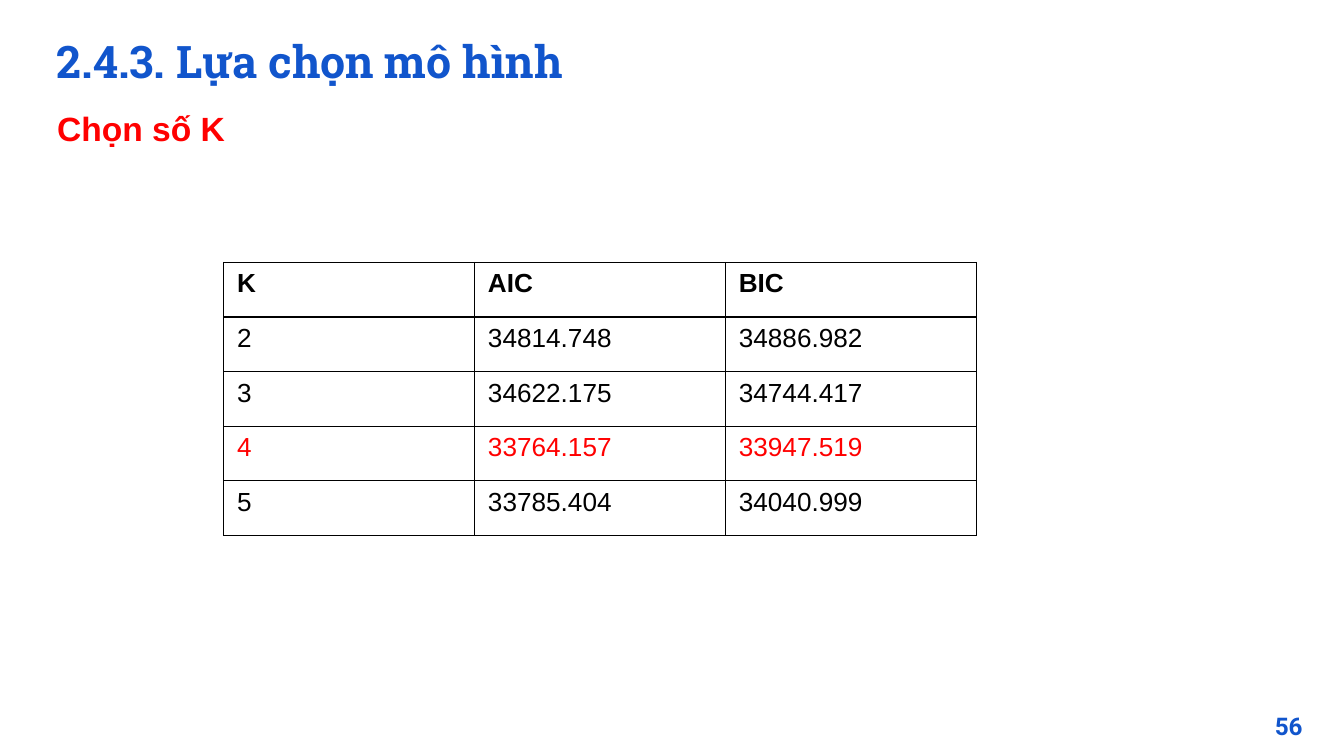
from dataclasses import dataclass
from typing import Optional

import pptx
import pptx.dml.color
import pptx.enum.shapes
import pptx.enum.text
import pptx.oxml
import pptx.oxml.ns
import pptx.util

RGBColor = pptx.dml.color.RGBColor
Align = pptx.enum.text.PP_ALIGN
Anchor = pptx.enum.text.MSO_ANCHOR

BLUE = RGBColor(0x11, 0x55, 0xCC)
RED = RGBColor(0xFF, 0x00, 0x00)
BLACK = RGBColor(0x00, 0x00, 0x00)
WHITE = RGBColor(0xFF, 0xFF, 0xFF)

SLIDE_WIDTH = pptx.util.Inches(10)
SLIDE_HEIGHT = SLIDE_WIDTH * 9 // 16
GRID_COLUMNS = 100
UNIT = SLIDE_WIDTH / GRID_COLUMNS
BORDER_WIDTH = pptx.util.Pt(0.75)
BORDER_SIDES = ("lnL", "lnR", "lnT", "lnB")


@dataclass(frozen=True)
class Area:
    column: float
    row: float
    columns: float
    rows: float

    def lengths(self) -> list[int]:
        return [round(n * UNIT) for n in (self.column, self.row, self.columns, self.rows)]


@dataclass(frozen=True)
class Label:
    area: Area
    text: str
    font: str
    size: int
    color: RGBColor
    align: Align = Align.LEFT
    anchor: Anchor = Anchor.TOP
    inset: float = 1
    fill: Optional[RGBColor] = None


@dataclass(frozen=True)
class Score:
    k: str
    aic: str
    bic: str
    color: RGBColor = BLACK
    bold: bool = False


LABELS = [
    Label(Area(91.9, 51.95, 6, 4.3), "56", "Roboto", 13, BLUE, Align.RIGHT),
    Label(Area(3.25, 1.65, 82.8, 5.7), "2.4.3. Lựa chọn mô hình", "Roboto Slab", 24, BLUE,
          anchor=Anchor.MIDDLE),
    Label(Area(3.27, 7.55, 94.4, 4), "Chọn số K", "Arial", 18, RED, Align.JUSTIFY,
          inset=0.5, fill=WHITE),
]

SCORES = [
    Score("K", "AIC", "BIC", bold=True),
    Score("2", "34814.748", "34886.982"),
    Score("3", "34622.175", "34744.417"),
    Score("4", "33764.157", "33947.519", RED),
    Score("5", "33785.404", "34040.999"),
]
SCORE_AREA = Area(16.64, 19.53, 56, 20.3)


def style_font(font, name: str, size: int, color: RGBColor, bold: bool) -> None:
    font.name = name
    font.size = pptx.util.Pt(size)
    font.color.rgb = color
    font.bold = bold


def draw_label(slide, label: Label) -> None:
    if label.fill is None:
        box = slide.shapes.add_textbox(*label.area.lengths())
    else:
        box = slide.shapes.add_shape(
            pptx.enum.shapes.MSO_SHAPE.RECTANGLE, *label.area.lengths())
        box.shadow.inherit = False
        box.fill.solid()
        box.fill.fore_color.rgb = label.fill
        box.line.fill.background()
    frame = box.text_frame
    frame.word_wrap = True
    frame.vertical_anchor = label.anchor
    frame.margin_left = frame.margin_right = round(UNIT)
    frame.margin_top = frame.margin_bottom = round(label.inset * UNIT)
    frame.text = label.text
    paragraph = frame.paragraphs[0]
    paragraph.alignment = label.align
    style_font(paragraph.runs[0].font, label.font, label.size, label.color, True)


def draw_borders(cell) -> None:
    properties = cell._tc.get_or_add_tcPr()
    for index, side in enumerate(BORDER_SIDES):
        border = pptx.oxml.parse_xml(
            f'<a:{side} {pptx.oxml.ns.nsdecls("a")} w="{BORDER_WIDTH}">'
            f'<a:solidFill><a:srgbClr val="{BLACK}"/></a:solidFill></a:{side}>')
        properties.insert(index, border)


def draw_scores(slide, scores: list[Score], area: Area) -> None:
    headings = ("k", "aic", "bic")
    table = slide.shapes.add_table(len(scores), len(headings), *area.lengths()).table
    table.horz_banding = False
    for row, score in enumerate(scores):
        for column, heading in enumerate(headings):
            cell = table.cell(row, column)
            cell.text = getattr(score, heading)
            cell.fill.background()
            style_font(cell.text_frame.paragraphs[0].runs[0].font,
                       "Arial", 14, score.color, score.bold)
            draw_borders(cell)


def main() -> None:
    presentation = pptx.Presentation()
    presentation.slide_width = SLIDE_WIDTH
    presentation.slide_height = SLIDE_HEIGHT
    slide = presentation.slides.add_slide(presentation.slide_layouts[6])
    slide.background.fill.solid()
    slide.background.fill.fore_color.rgb = WHITE
    for label in LABELS:
        draw_label(slide, label)
    draw_scores(slide, SCORES, SCORE_AREA)
    presentation.save("out.pptx")


if __name__ == "__main__":
    main()
